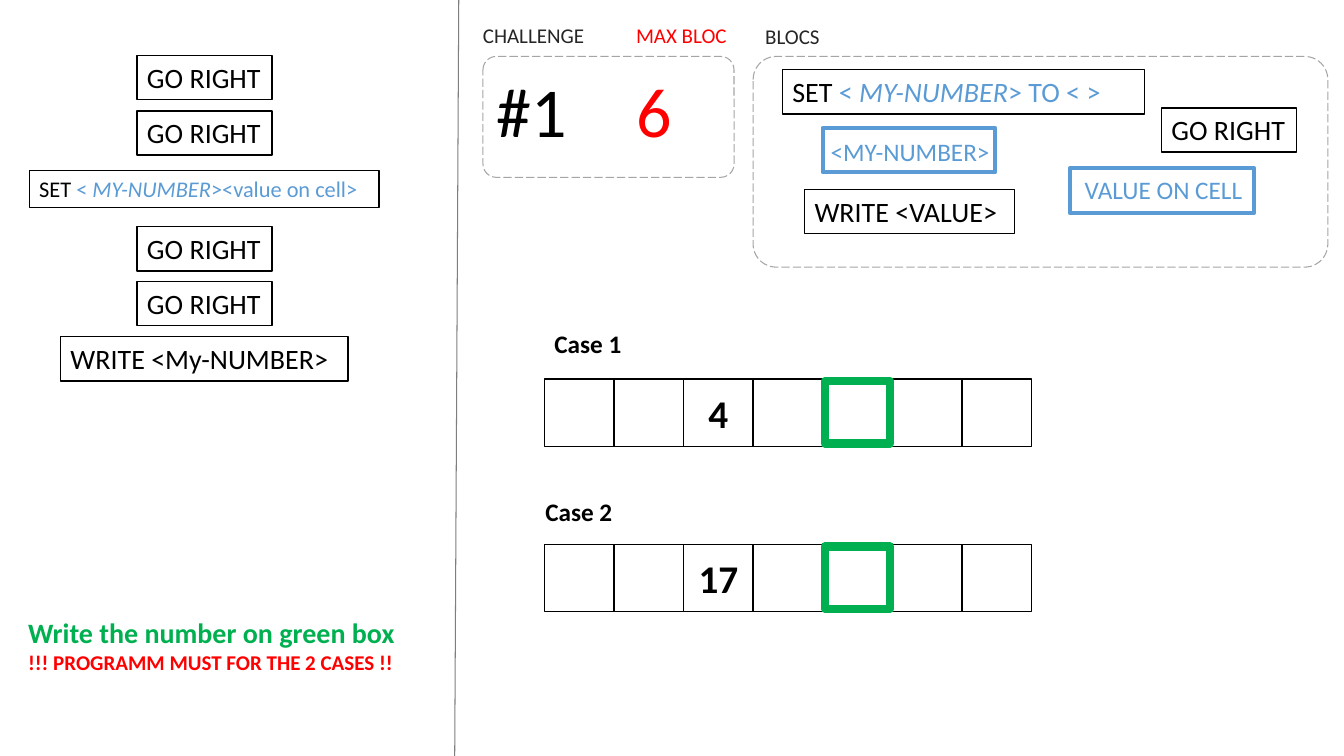
"""Build the coding challenge slide with its program, blocs and two cases."""
from dataclasses import dataclass

from lxml import etree
from pptx import Presentation
from pptx.dml.color import RGBColor
from pptx.enum.dml import MSO_LINE
from pptx.enum.shapes import MSO_CONNECTOR, MSO_SHAPE
from pptx.enum.text import MSO_ANCHOR, MSO_AUTO_SIZE, PP_ALIGN
from pptx.oxml.ns import qn
from pptx.util import Emu, Pt

RECTANGLE = MSO_SHAPE.RECTANGLE
ROUNDED = MSO_SHAPE.ROUNDED_RECTANGLE
STRAIGHT = MSO_CONNECTOR.STRAIGHT
LONG_DASH = MSO_LINE.LONG_DASH
FIT_SHAPE = MSO_AUTO_SIZE.SHAPE_TO_FIT_TEXT
TOP, MIDDLE = MSO_ANCHOR.TOP, MSO_ANCHOR.MIDDLE
LEFT, CENTER = PP_ALIGN.LEFT, PP_ALIGN.CENTER
EMU_PER_PX = 9144


@dataclass(frozen=True)
class Theme:
    """Hold the typeface, colours and type sizes."""
    font: str = "Calibri"
    black: str = "000000"
    white: str = "FFFFFF"
    dark: str = "262626"
    divider: str = "7F7F7F"
    dashed: str = "A5A5A5"
    blue: str = "5B9BD5"
    red: str = "FF0000"
    green: str = "00B050"
    display: int = 50
    number: int = 28
    block: int = 20
    value: int = 18
    compact: int = 16
    label: int = 15


THEME = Theme()
CELL_COUNT, CELL_WIDTH, CELL_HEIGHT = 7, 69, 67
NUMBER_CELL = 2
ROW_LEFT = 540


def px(*lengths):
    """Turn pixel lengths into EMU."""
    return [Emu(length * EMU_PER_PX) for length in lengths]


def set_attributes(target, values):
    """Set each named value on the target."""
    for name, value in values.items():
        setattr(target, name, value)


def run_format(size, color, bold=False, italic=False):
    """Describe the format of a run."""
    return {"size": size, "color": color, "bold": bold, "italic": italic}


def write_text(shape, paragraphs, wrap=True, anchor=TOP, align=LEFT, fit=FIT_SHAPE):
    """Fill a shape with paragraphs of formatted runs."""
    frame = shape.text_frame
    set_attributes(frame, {"word_wrap": wrap, "auto_size": fit, "vertical_anchor": anchor})
    for index, runs in enumerate(paragraphs):
        paragraph = frame.add_paragraph() if index else frame.paragraphs[0]
        paragraph.alignment = align
        for text, style in runs:
            run = paragraph.add_run()
            run.text = text
            set_attributes(run.font, {"name": THEME.font, "size": Pt(style["size"]),
                                      "bold": style["bold"], "italic": style["italic"]})
            run.font.color.rgb = RGBColor.from_string(style["color"])


def add_box(shapes, bounds, color=THEME.black, width=1, kind=RECTANGLE, filled=True):
    """Add an outlined box."""
    shape = shapes.add_shape(kind, *px(*bounds))
    shape.shadow.inherit = False
    if filled:
        shape.fill.solid()
        shape.fill.fore_color.rgb = RGBColor.from_string(THEME.white)
    else:
        shape.fill.background()
    shape.line.color.rgb = RGBColor.from_string(color)
    shape.line.width = Pt(width)
    return shape


def add_panel(shapes, bounds):
    """Add a rounded dashed panel."""
    panel = add_box(shapes, bounds, THEME.dashed, 0.75, ROUNDED)
    panel.adjustments[0] = 0.11
    panel.line.dash_style = LONG_DASH


def add_label(shapes, bounds, paragraphs, wrap=True):
    """Add a text box."""
    write_text(shapes.add_textbox(*px(*bounds)), paragraphs, wrap)


def add_block(shapes, bounds, runs, wrap=True):
    """Add a command block with its text."""
    write_text(add_box(shapes, bounds), [runs], wrap)


def add_value_block(shapes, frame_bounds, text_bounds, text):
    """Add a blue value frame and the label laid over it."""
    add_box(shapes, frame_bounds, THEME.blue, 3)
    add_label(shapes, text_bounds, [[(text, run_format(THEME.value, THEME.blue))]], False)


def add_divider(shapes, ends):
    """Add the line between program and challenge."""
    connector = shapes.add_connector(STRAIGHT, *px(*ends))
    connector.line.color.rgb = RGBColor.from_string(THEME.divider)
    connector.line.width = Pt(0.75)
    etree.SubElement(connector._element.spPr, qn("a:effectLst"))


def add_case(shapes, top, number, title, title_bounds):
    """Add a titled row of cells with its green target."""
    cells = shapes.add_group_shape().shapes
    for index in range(CELL_COUNT):
        left = ROW_LEFT + index * CELL_WIDTH
        cell = add_box(cells, (left, top, CELL_WIDTH, CELL_HEIGHT))
        if index == NUMBER_CELL:
            style = run_format(THEME.number, THEME.black, bold=True)
            write_text(cell, [[(number, style)]], True, MIDDLE, CENTER, MSO_AUTO_SIZE.NONE)
    add_box(cells, (818, top + 2, 65, 62), THEME.green, 6, filled=False)
    title_style = run_format(THEME.value, THEME.black, bold=True)
    add_label(shapes, title_bounds, [[(title, title_style)]])


def set_runs(size, ending):
    """Return the runs of a SET command."""
    blue = run_format(size, THEME.blue)
    return [("SET ", run_format(size, THEME.black)), ("< ", blue),
            ("MY-NUMBER", run_format(size, THEME.blue, italic=True)), (ending, blue)]


def add_challenge(shapes):
    """Add the challenge panels, headings and available blocs."""
    add_panel(shapes, (479, 56, 249, 120))
    add_panel(shapes, (747, 56, 570, 209))
    for text, bounds, size, color in (
        ("#1", (483, 62, 91, 94), THEME.display, THEME.black),
        ("6", (621, 62, 91, 94), THEME.display, THEME.red),
        ("BLOCS", (749, 18, 75, 35), THEME.label, THEME.dark),
        ("MAX BLOC", (621, 17, 111, 35), THEME.label, THEME.red),
        ("CHALLENGE", (469, 17, 122, 35), THEME.label, THEME.dark),
    ):
        add_label(shapes, bounds, [[(text, run_format(size, color))]])
    command = run_format(THEME.block, THEME.black)
    add_block(shapes, (776, 69, 359, 44), set_runs(THEME.block, "> TO < >"))
    add_value_block(shapes, (816, 127, 171, 44), (814, 130, 181, 40), "<MY-NUMBER>")
    add_block(shapes, (798, 188, 208, 44), [("WRITE <VALUE>", command)])
    add_value_block(shapes, (1061, 167, 183, 44), (1066, 168, 178, 40), "VALUE ON CELL")
    add_block(shapes, (1152, 107, 134, 44), [("GO RIGHT", command)], False)


def add_program(shapes):
    """Add the program steps and the instruction below them."""
    command = run_format(THEME.block, THEME.black)
    for top in (55, 110, 225, 279):
        add_block(shapes, (136, top, 134, 44), [("GO RIGHT", command)], False)
    add_block(shapes, (29, 169, 347, 37), set_runs(THEME.compact, "><value on cell>"))
    add_block(shapes, (60, 334, 285, 44), [("WRITE <My-NUMBER>", command)])
    add_label(shapes, (18, 606, 407, 69), [
        [("Write the number on green box", run_format(THEME.block, THEME.green, bold=True))],
        [("!!! PROGRAMM MUST FOR THE 2 CASES !!",
          run_format(THEME.label, THEME.red, bold=True))],
    ])


def main():
    """Build and save the slide."""
    presentation = Presentation()
    presentation.slide_width, presentation.slide_height = px(1333, 750)
    shapes = presentation.slides.add_slide(presentation.slide_layouts[6]).shapes
    add_divider(shapes, (455, 0, 451, 750))
    add_challenge(shapes)
    add_case(shapes, 376, "4", "Case 1", (540, 321, 104, 40))
    add_case(shapes, 540, "17", "Case 2", (531, 487, 104, 40))
    add_program(shapes)
    presentation.save("out.pptx")


if __name__ == "__main__":
    main()
